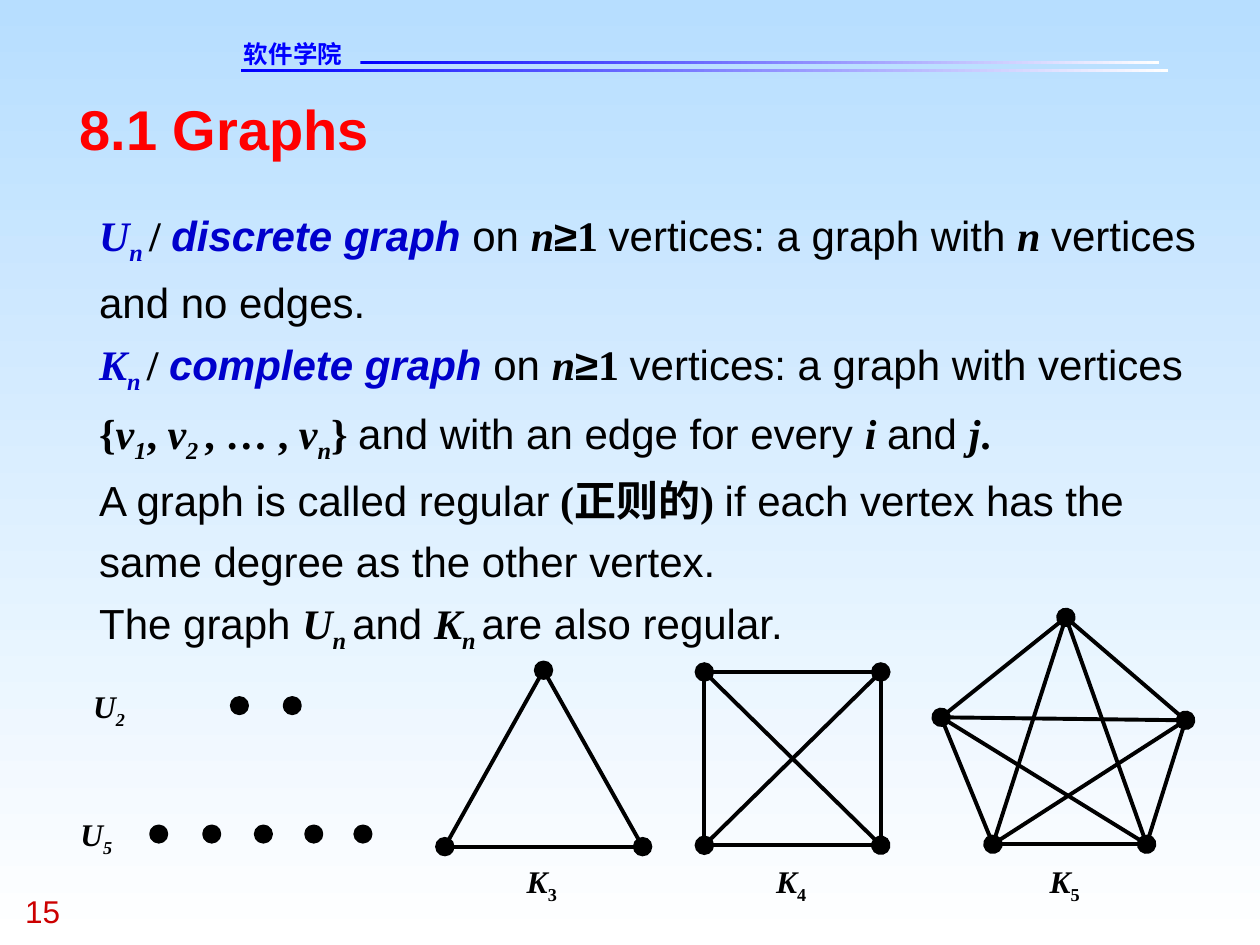
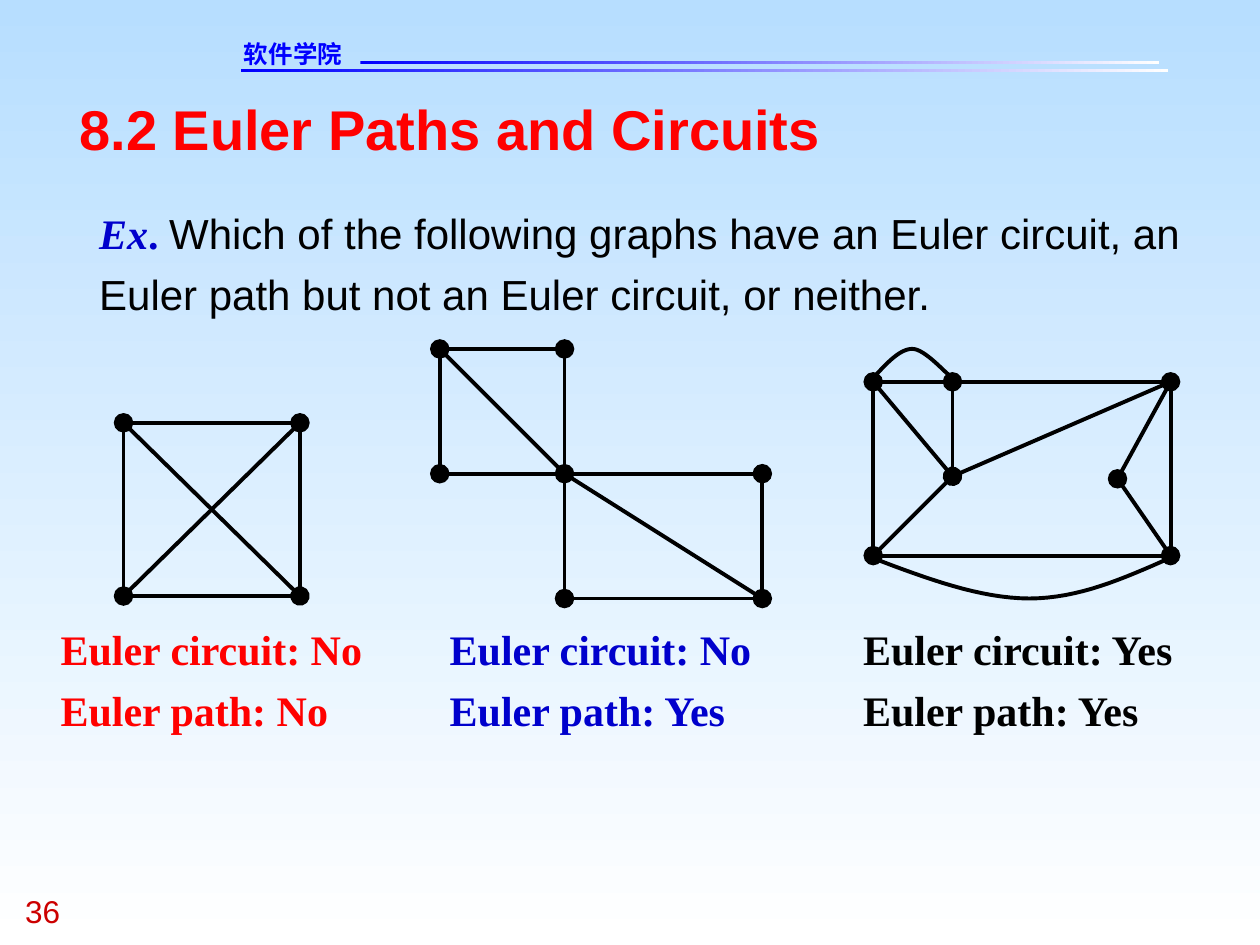
import collections
import itertools

import pptx
import pptx.dml.color
import pptx.enum.shapes
import pptx.oxml.ns
import pptx.oxml.xmlchemy
import pptx.util
from lxml import etree

SERIF, SANS, HEADER_FACE = "Times New Roman", "Arial", "DejaVu Sans"
BLACK, WHITE, RED, DARK_RED = "000000", "FFFFFF", "FF0000", "CC0000"
BLUE, HEADER_BLUE, SKY = "0000CC", "0000FF", "B7DEFF"
EDGE_WIDTH, DOT_SIZE = 2.25, 8.64

Style = collections.namedtuple("Style", "face color bold italic sub", defaults=(False, False, False))
TITLE = Style(SANS, RED, bold=True)
HEADER = Style(HEADER_FACE, HEADER_BLUE, bold=True)
PAGE = Style(SANS, DARK_RED)
PLAIN = Style(SANS, BLACK)
RELATION = Style(SANS, BLACK, bold=True)
TERM = Style(SANS, BLUE, bold=True, italic=True)
MATH = Style(SERIF, BLACK, bold=True)
MATH_SUB = MATH._replace(sub=True)
VAR = MATH._replace(italic=True)
VAR_SUB = VAR._replace(sub=True)
KEY = VAR._replace(color=BLUE)
KEY_SUB = KEY._replace(sub=True)


def definition(letter, term):
    """Opening runs shared by the two graph families."""
    return [(KEY, letter), (KEY_SUB, "n "), (MATH, "/ "), (TERM, term + " "), (PLAIN, "on "),
            (VAR, "n"), (RELATION, "≥"), (MATH, "1 ")]


GRAPH_TEXT = [
    definition("U", "discrete graph") + [
        (PLAIN, "vertices: a graph with "), (VAR, "n "), (PLAIN, "vertices and no edges.")],
    definition("K", "complete graph") + [
        (PLAIN, "vertices: a graph with vertices"), (MATH, " {"),
        (VAR, "v"), (VAR_SUB, "1"), (MATH, ", "), (VAR, "v"), (VAR_SUB, "2 "), (MATH, ", … , "),
        (VAR, "v"), (VAR_SUB, "n"), (MATH, "} "), (PLAIN, "and with an edge for every "),
        (VAR, "i "), (PLAIN, "and "), (VAR, "j"), (MATH, ".")],
    [(PLAIN, "A graph is called regular"), (MATH, " (正则的) "),
     (PLAIN, "if each vertex has the same degree as the other vertex.")],
    [(PLAIN, "The graph "), (VAR, "U"), (VAR_SUB, "n "), (PLAIN, "and "),
     (VAR, "K"), (VAR_SUB, "n "), (PLAIN, "are also regular.")],
]
EULER_TEXT = [[
    (KEY, "Ex"), (KEY._replace(italic=False), ". "),
    (PLAIN, "Which of the following graphs have an Euler circuit, an Euler path "
            "but not an Euler circuit, or neither.")]]

# Discrete graphs: index, label left and top, dot centres
DISCRETE = [
    ("2", 53.3, 392.4, [136.8, 167], 403.2),
    ("5", 46, 465.8, [90.7, 121, 150.5, 179.3, 207.4], 476.6),
]
COMPLETE_LABELS = [("3", 301), ("4", 443.5), ("5", 599.8)]
COMPLETE_LABEL_TOP = 492.5


def square(left, top):
    right, bottom = left + 100.8, top + 99
    return [(left, top), (right, top), (right, bottom), (left, bottom)]


K3 = [(310.6, 383), (254.2, 483.8), (367.2, 483.8)]
K4 = square(402.5, 384)
K5 = [(609.1, 352.8), (677.5, 411.6), (655.2, 482.4), (567.4, 482.4), (537.8, 409.9)]

EULER_SQUARE = square(70.6, 241.6)
BOXES = {"a": (251.3, 199.4), "b": (322.6, 199.4), "c": (251.3, 270.7), "d": (322.6, 270.7),
         "e": (435.6, 270.7), "f": (322.6, 342), "g": (435.6, 342)}
BOX_EDGES = "ac bd ab cd df eg de fg ad dg".split()
FRAME = {"a": (499, 218.2), "b": (544.3, 218.2), "c": (668.9, 218.2), "d": (544.3, 272.2),
         "e": (638.6, 273.6), "f": (499, 317.5), "g": (668.9, 317.5)}
FRAME_EDGES = "af cg ac fg ad df bd ce eg cd".split()
# Each arc: start, then cubic segments of two handles and an end
ARCS = [
    [(499, 216), (506.2, 208.1), (514.1, 199.4), (521.3, 199.4),
     (528.5, 199.4), (540, 213.1), (544.3, 216)],
    [(499, 319), (529.2, 330.5), (560.2, 342), (588.2, 342),
     (616.3, 342), (642.2, 330.5), (668.2, 319)],
]
ANSWERS = [(34.6, RED, "No", "No"), (257, BLUE, "No", "Yes"), (493.2, BLACK, "Yes", "Yes")]


def rgb(color):
    return pptx.dml.color.RGBColor.from_string(color)


def pts(*lengths):
    return [pptx.util.Pt(length) for length in lengths]


def fade(fill, first, last, angle):
    fill.gradient()
    fill.gradient_angle = angle
    for stop, color, position in zip(fill.gradient_stops, (first, last), (0, 1)):
        stop.color.rgb = rgb(color)
        stop.position = position


def set_font(font, style):
    font.name = style.face
    font.color.rgb = rgb(style.color)
    font.bold, font.italic = style.bold, style.italic


def add_text(slide, box, paragraphs, size, spacing=None):
    """Write paragraphs, each a list of (style, text) runs."""
    frame = slide.shapes.add_textbox(*pts(*box)).text_frame
    frame.word_wrap = True
    frame.margin_left = frame.margin_top = frame.margin_right = frame.margin_bottom = 0
    for index, runs in enumerate(paragraphs):
        paragraph = frame.add_paragraph() if index else frame.paragraphs[0]
        paragraph.line_spacing = spacing
        paragraph.font.size = pptx.util.Pt(size)
        uniform = len({style._replace(sub=False) for style, _ in runs}) == 1
        if uniform:
            set_font(paragraph.font, runs[0][0])
        for style, text in runs:
            run = paragraph.add_run()
            run.text = text
            if not uniform:
                set_font(run.font, style)
            if style.sub:
                run._r.get_or_add_rPr().set("baseline", "-25000")


def add_preset(slide, preset, box):
    shape = slide.shapes.add_shape(preset, *pts(*box))
    shape.shadow.inherit = False
    return shape


def add_dot(slide, x, y):
    box = (x - DOT_SIZE / 2, y - DOT_SIZE / 2, DOT_SIZE, DOT_SIZE)
    dot = add_preset(slide, pptx.enum.shapes.MSO_SHAPE.OVAL, box)
    dot.fill.solid()
    dot.fill.fore_color.rgb = rgb(BLACK)
    ink(dot.line)


def ink(line):
    line.color.rgb = rgb(BLACK)
    line.width = pptx.util.Pt(EDGE_WIDTH)


def add_graph(slide, edges):
    """Draw edges; the first edge to reach a vertex carries its dot as an oval end."""
    dotted = set()
    for start, end in edges:
        edge = slide.shapes.add_connector(
            pptx.enum.shapes.MSO_CONNECTOR.STRAIGHT, *pts(*start, *end))
        ink(edge.line)
        for tag, vertex in (("a:headEnd", start), ("a:tailEnd", end)):
            if vertex not in dotted:
                dotted.add(vertex)
                etree.SubElement(edge.line._get_or_add_ln(), pptx.oxml.ns.qn(tag),
                                 type="oval", w="lg", len="lg")
        etree.SubElement(edge._element.spPr, pptx.oxml.ns.qn("a:effectLst"))


def add_complete(slide, vertices):
    add_graph(slide, itertools.combinations(vertices, 2))


def add_named(slide, vertices, edges):
    add_graph(slide, [(vertices[start], vertices[end]) for start, end in edges])


def add_arc(slide, points, steps=16):
    curve = []
    for first in range(0, len(points) - 1, 3):
        segment = points[first:first + 4]
        for step in range(1, steps + 1):
            t = step / steps
            weights = ((1 - t) ** 3, 3 * t * (1 - t) ** 2, 3 * t * t * (1 - t), t ** 3)
            curve.append(pts(*(sum(w * p[axis] for w, p in zip(weights, segment))
                               for axis in (0, 1))))
    builder = slide.shapes.build_freeform(*pts(*points[0]))
    builder.add_line_segments(curve, close=False)
    arc = builder.convert_to_shape()
    arc.shadow.inherit = False
    arc.fill.background()
    ink(arc.line)


def add_slide(deck, title, page):
    """Start a slide with the shared background, header, title and page number."""
    slide = deck.slides.add_slide(deck.slide_layouts[6])
    fade(slide.background.fill, SKY, WHITE, 270)
    for box in ((137.5, 39.4, 530, 1.7), (205.9, 35, 456.5, 1.7)):
        rule = add_preset(slide, pptx.enum.shapes.MSO_SHAPE.RECTANGLE, box)
        fade(rule.fill, HEADER_BLUE, WHITE, 0)
        rule.line.fill.background()
    add_text(slide, (139.4, 22.3, 104.4, 16.8), [[(HEADER, "软件学院")]], 14)
    add_text(slide, (14.4, 510, 54, 21.6), [[(PAGE, page)]], 18)
    add_text(slide, (45.4, 54, 630, 38.4), [[(TITLE, title)]], 32)
    return slide


def add_label(slide, left, top, runs):
    add_text(slide, (left, top, 20, 24.5), [runs], 18)


def main():
    deck = pptx.Presentation()
    deck.slide_width, deck.slide_height = pts(720, 540)

    graphs = add_slide(deck, "8.1 Graphs", "15")
    add_text(graphs, (56.7, 113, 635.8, 260.6), GRAPH_TEXT, 24, 1.2)
    for index, left, top, centres, y in DISCRETE:
        add_label(graphs, left, top, [(VAR, "U"), (VAR_SUB, index)])
        for x in centres:
            add_dot(graphs, x, y)
    for vertices in (K3, K4, K5):
        add_complete(graphs, vertices)
    for index, left in COMPLETE_LABELS:
        add_label(graphs, left, COMPLETE_LABEL_TOP, [(VAR, "K"), (MATH_SUB, index)])

    euler = add_slide(deck, "8.2 Euler Paths and Circuits", "36")
    add_text(euler, (56.7, 113, 626.4, 69), EULER_TEXT, 24, 1.2)
    add_complete(euler, EULER_SQUARE)
    add_named(euler, BOXES, BOX_EDGES)
    add_named(euler, FRAME, FRAME_EDGES)
    for arc in ARCS:
        add_arc(euler, arc)
    for left, color, circuit, trail in ANSWERS:
        style = MATH._replace(color=color)
        lines = [[(style, f"Euler circuit: {circuit}")], [(style, f"Euler path: {trail}")]]
        add_text(euler, (left, 350.6, 181.4, 103.7), lines, 24, 1.2)

    deck.save("out.pptx")


if __name__ == "__main__":
    main()
